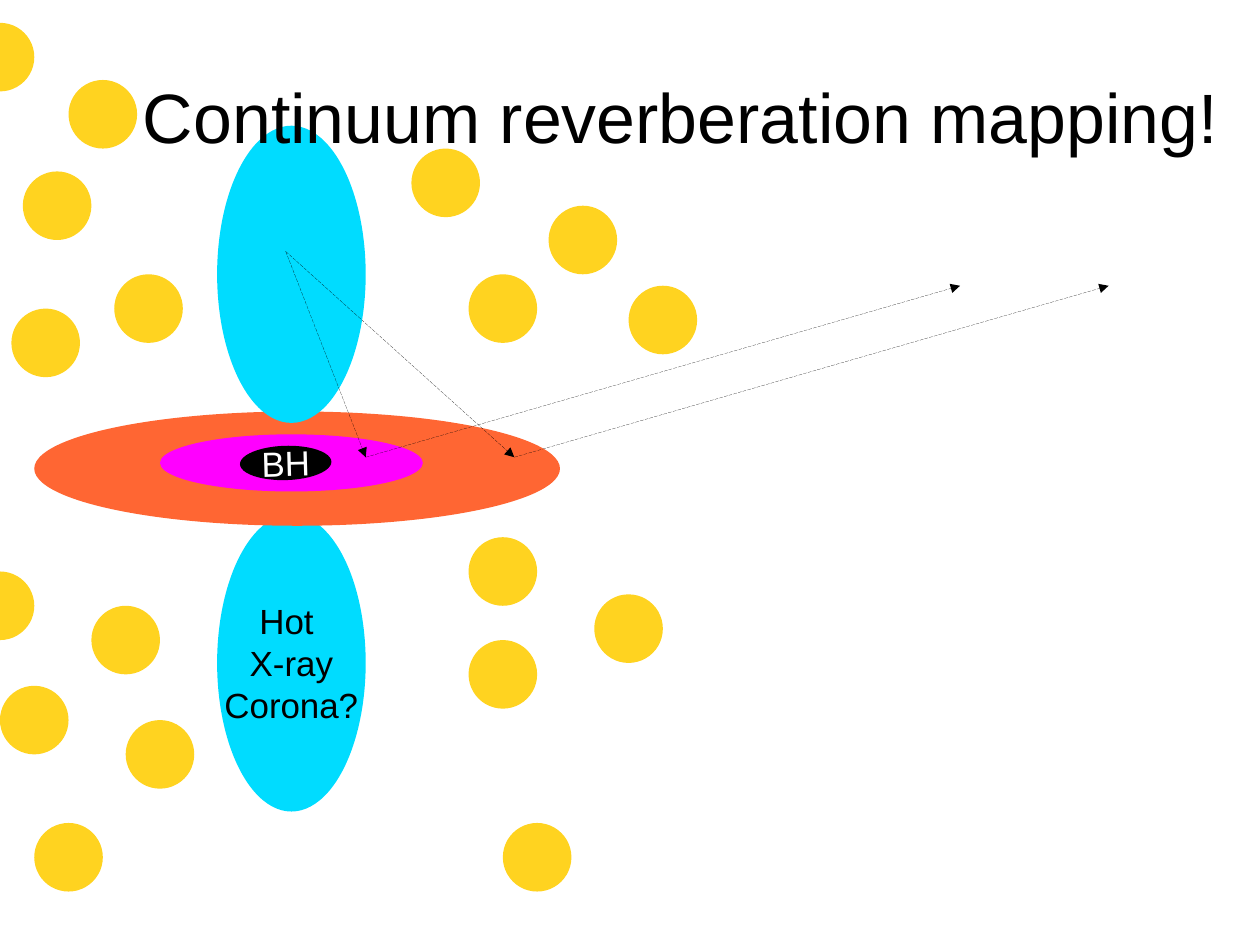
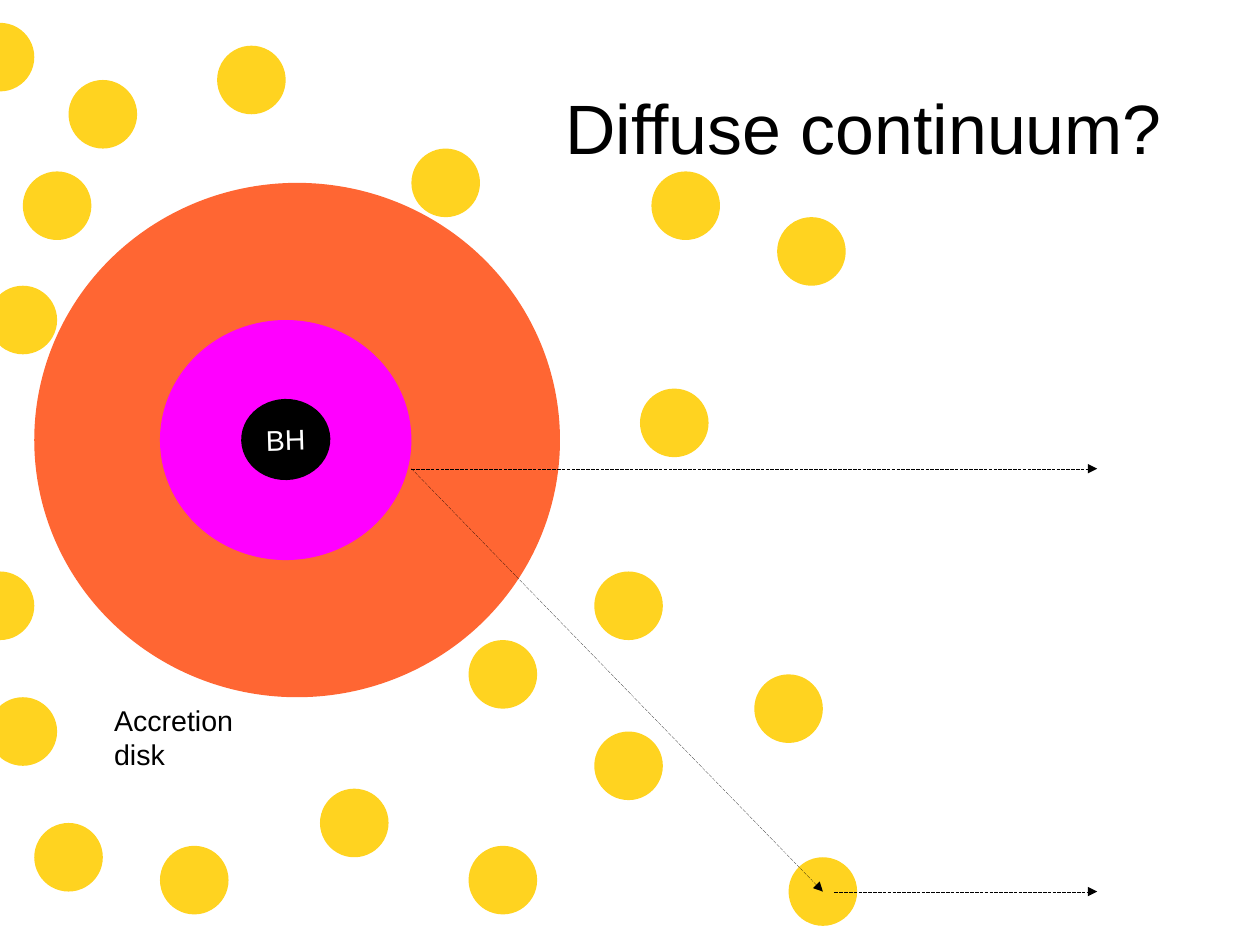
"""Build two slides on reverberation mapping around a black hole."""
import pptx
import pptx.util
import pptx.dml.color
import pptx.enum.dml
import pptx.enum.shapes
import pptx.enum.text
import pptx.oxml
import pptx.oxml.ns

PX = 9144
WIDTH, HEIGHT = 10080625, 7559675
FONT = "Arial"
BLACK, WHITE = "000000", "FFFFFF"
CORONA, DISK, INNER, CLOUD = "00DCFF", "FF6633", "FF00FF", "FFD320"
CLOUD_D = 60
TITLE_W, TITLE_H, TITLE_PT = 992, 138, 44
TILT = 358.4

SHARED = [(-30, 20), (60, 70), (20, 150), (360, 130), (-30, 500), (410, 560), (30, 720)]

SLIDES = [
    {
        "title": ("Continuum reverberation mapping!", 100, 32),
        "discs": [
            ((190, 450, 130, 260), CORONA, "Hot \nX-ray\nCorona?"),
            ((30, 360, 460, 100), DISK, ""),
            ((190, 110, 130, 260), CORONA, ""),
            ((140, 380, 230, 50), INNER, ""),
        ],
        "hole": (210, 390, 80, 30),
        "size": 22,
        "clouds": [
            (410, 240), (480, 180), (550, 250), (410, 470), (100, 240), (10, 270),
            (440, 720), (80, 530), (110, 630), (0, 600), (520, 520),
        ],
        "rays": [
            (250, 220, 320, 400), (450, 400, 970, 250),
            (250, 220, 450, 400), (320, 400, 840, 250),
        ],
    },
    {
        "title": ("Diffuse continuum?", 260, 42),
        "discs": [
            ((30, 160, 460, 450), DISK, ""),
            ((140, 280, 220, 210), INNER, ""),
        ],
        "hole": (211, 349, 78, 71),
        "size": 18,
        "note": ("Accretion disk", (90, 610, 130, 66)),
        "clouds": [
            (560, 340), (570, 150), (680, 190), (690, 750), (660, 590), (520, 640),
            (190, 40), (-10, 250), (280, 690), (140, 740), (-10, 610), (520, 500),
            (410, 740),
        ],
        "rays": [(360, 410, 960, 410), (360, 410, 720, 780), (730, 780, 960, 780)],
    },
]


def emu(box):
    return [n * PX for n in box]


def rgb(code):
    return pptx.dml.color.RGBColor.from_string(code)


def write(shape, text, size, color, align):
    frame = shape.text_frame
    frame.text = text
    for para in frame.paragraphs:
        para.alignment = align
        for run in para.runs:
            run.font.name = FONT
            run.font.size = pptx.util.Pt(size)
            run.font.color.rgb = rgb(color)


def add_disc(slide, box, fill, text="", size=18, color=BLACK):
    kind = pptx.enum.shapes.MSO_SHAPE.OVAL
    disc = slide.shapes.add_shape(kind, *emu(box))
    disc.shadow.inherit = False
    disc.fill.solid()
    disc.fill.fore_color.rgb = rgb(fill)
    disc.line.fill.background()
    if text:
        disc.text_frame.word_wrap = False
        write(disc, text, size, color, pptx.enum.text.PP_ALIGN.CENTER)
    return disc


def add_title(slide, text, left, top):
    title = slide.shapes.title
    title.left, title.top, title.width, title.height = emu((left, top, TITLE_W, TITLE_H))
    frame = title.text_frame
    frame.margin_left = frame.margin_right = frame.margin_top = frame.margin_bottom = 0
    frame.vertical_anchor = pptx.enum.text.MSO_ANCHOR.MIDDLE
    frame.auto_size = pptx.enum.text.MSO_AUTO_SIZE.NONE
    write(title, text, TITLE_PT, BLACK, pptx.enum.text.PP_ALIGN.CENTER)
    title.element.getparent().append(title.element)


def add_note(slide, text, box):
    note = slide.shapes.add_textbox(*emu(box))
    note.text_frame.word_wrap = True
    note.fill.solid()
    note.fill.fore_color.rgb = rgb(WHITE)
    write(note, text, 18, BLACK, pptx.enum.text.PP_ALIGN.LEFT)


def add_ray(slide, ends):
    kind = pptx.enum.shapes.MSO_CONNECTOR.STRAIGHT
    ray = slide.shapes.add_connector(kind, *emu(ends))
    ray.line.color.rgb = rgb(BLACK)
    ray.line.dash_style = pptx.enum.dml.MSO_LINE.SQUARE_DOT
    props = ray.element.spPr
    space = pptx.oxml.ns.nsdecls("a")
    line = props.find(pptx.oxml.ns.qn("a:ln"))
    line.set("w", "0")
    line.append(pptx.oxml.parse_xml(f'<a:tailEnd {space} type="triangle"/>'))
    props.append(pptx.oxml.parse_xml(f"<a:effectLst {space}/>"))


def build(slide, data):
    for box, fill, text in data["discs"]:
        add_disc(slide, box, fill, text, data["size"])
    add_title(slide, *data["title"])
    hole = add_disc(slide, data["hole"], BLACK, "BH", data["size"], WHITE)
    hole.rotation = TILT
    if "note" in data:
        add_note(slide, *data["note"])
    for left, top in SHARED + data["clouds"]:
        add_disc(slide, (left, top, CLOUD_D, CLOUD_D), CLOUD)
    for ends in data["rays"]:
        add_ray(slide, ends)


def main():
    deck = pptx.Presentation()
    deck.slide_width, deck.slide_height = WIDTH, HEIGHT
    for data in SLIDES:
        build(deck.slides.add_slide(deck.slide_layouts[5]), data)
    deck.save("out.pptx")


if __name__ == "__main__":
    main()
